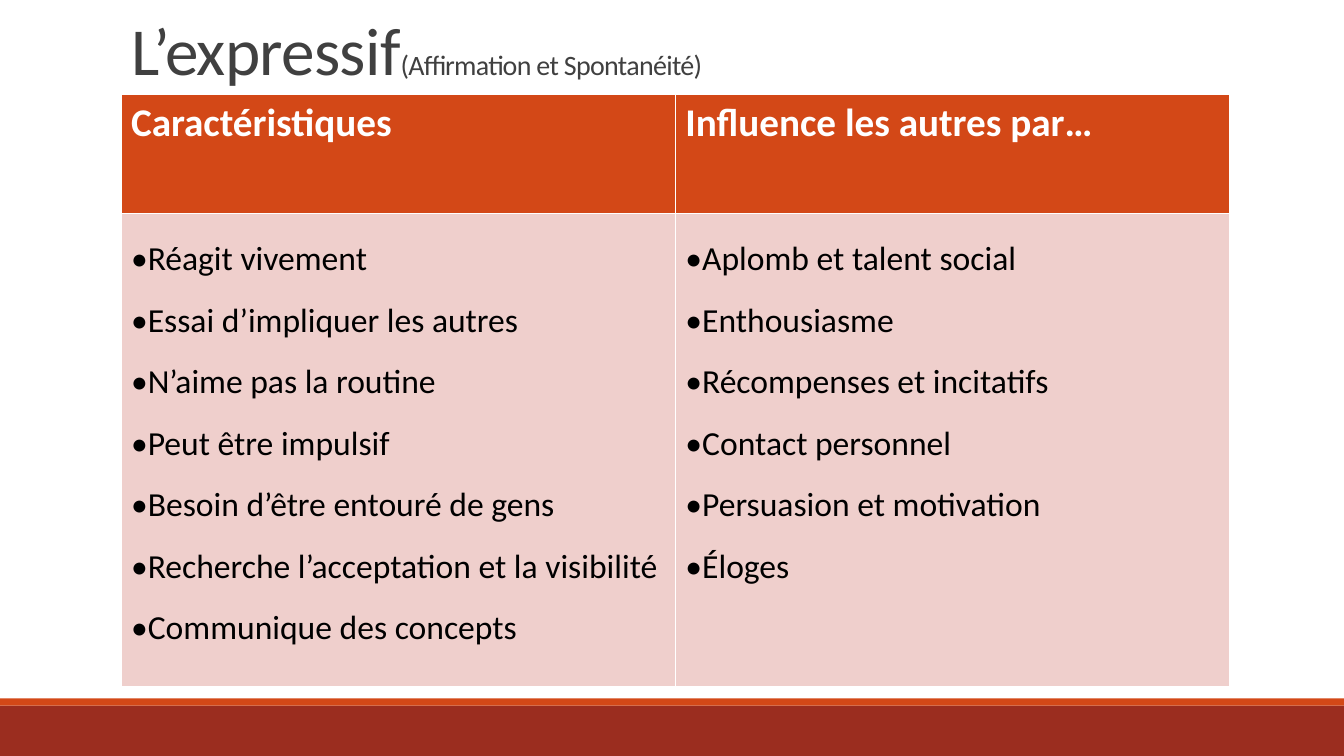
import pptx
import pptx.util
import pptx.dml.color
import pptx.enum.shapes
import pptx.enum.text
import pptx.oxml.ns
import lxml.etree
from pptx.util import Cm

FONT = "Calibri"
RUST = "D34817"
WHITE = "FFFFFF"
LEFT, WIDTH = Cm(3.05), Cm(27.94)
HEADS = ["Caractéristiques", "Influence les autres par…"]
LISTS = [
    [
        "Réagit vivement",
        "Essai d’impliquer les autres",
        "N’aime pas la routine",
        "Peut être impulsif",
        "Besoin d’être entouré de gens",
        "Recherche l’acceptation et la visibilité",
        "Communique des concepts",
    ],
    [
        "Aplomb et talent social",
        "Enthousiasme",
        "Récompenses et incitatifs",
        "Contact personnel",
        "Persuasion et motivation",
        "Éloges",
    ],
]


def paint(color, value):
    """Give a colour format its hex value."""
    color.rgb = pptx.dml.color.RGBColor.from_string(value)


def fill(item, value):
    """Fill a shape or a cell with one colour."""
    item.fill.solid()
    paint(item.fill.fore_color, value)


def style(font, color, size=None, bold=None):
    """Set the face, colour, size and weight of a font."""
    font.name = FONT
    paint(font.color, color)
    if size:
        font.size = pptx.util.Pt(size)
    font.bold = bold


def node(parent, tag, **attrs):
    """Append a drawing element to its parent."""
    return lxml.etree.SubElement(parent, pptx.oxml.ns.qn(tag), attrs)


def add_band(slide, top, height, color):
    """Draw a full-width band at the foot of the slide."""
    band = slide.shapes.add_shape(
        pptx.enum.shapes.MSO_SHAPE.RECTANGLE, 0, top, Cm(33.87), height)
    band.shadow.inherit = False
    band.line.fill.background()
    fill(band, color)


def set_title(title, parts):
    """Place the title and write its parts, each with its size."""
    title.left, title.top = LEFT, Cm(-1.66)
    title.width, title.height = WIDTH, Cm(4.04)
    frame = title.text_frame
    frame.word_wrap = True
    frame.auto_size = pptx.enum.text.MSO_AUTO_SIZE.NONE
    frame.vertical_anchor = pptx.enum.text.MSO_ANCHOR.BOTTOM
    para = frame.paragraphs[0]
    para.alignment = pptx.enum.text.PP_ALIGN.LEFT
    para.line_spacing = 0.85
    style(para.font, "404040")
    for text, size in parts:
        run = para.add_run()
        run.text = text
        run.font.size = pptx.util.Pt(size)
        run._r.get_or_add_rPr().set("spc", "-50")


def dress(cell, color):
    """Give a cell white borders and a fill."""
    props = cell._tc.get_or_add_tcPr()
    for side in ("L", "R", "T", "B"):
        line = node(props, f"a:ln{side}", w="12700")
        node(node(line, "a:solidFill"), "a:srgbClr", val=WHITE)
    fill(cell, color)


def write_list(cell, items):
    """Write bulleted items into a cell."""
    cell.text = "\n".join(items)
    for para in cell.text_frame.paragraphs:
        para.line_spacing = 1.5
        props = para._p.get_or_add_pPr()
        node(props, "a:buFont", typeface=FONT)
        node(props, "a:buChar", char="•")
        style(para.font, "000000", 24, False)


def add_grid(slide):
    """Build the table of traits and means of influence."""
    grid = slide.shapes.add_table(
        2, len(HEADS), LEFT, Cm(2.38), WIDTH, Cm(14.91)).table
    grid.rows[0].height, grid.rows[1].height = Cm(3), Cm(11.91)
    for col, (head, items) in enumerate(zip(HEADS, LISTS)):
        top, body = grid.cell(0, col), grid.cell(1, col)
        dress(top, RUST)
        top.text = head
        style(top.text_frame.paragraphs[0].font, WHITE, 28, True)
        dress(body, "EFCFCC")
        write_list(body, items)


def main():
    """Build and save the slide."""
    deck = pptx.Presentation()
    deck.slide_width, deck.slide_height = Cm(33.87), Cm(19.05)
    slide = deck.slides.add_slide(deck.slide_layouts.get_by_name("Title Only"))
    add_band(slide, Cm(17.78), Cm(1.27), "9B2D1F")
    add_band(slide, Cm(17.6), Cm(0.18), RUST)
    set_title(slide.shapes.title,
              [("L’expressif", 48), ("(Affirmation et Spontanéité)", 20)])
    add_grid(slide)
    deck.save("out.pptx")


if __name__ == "__main__":
    main()
